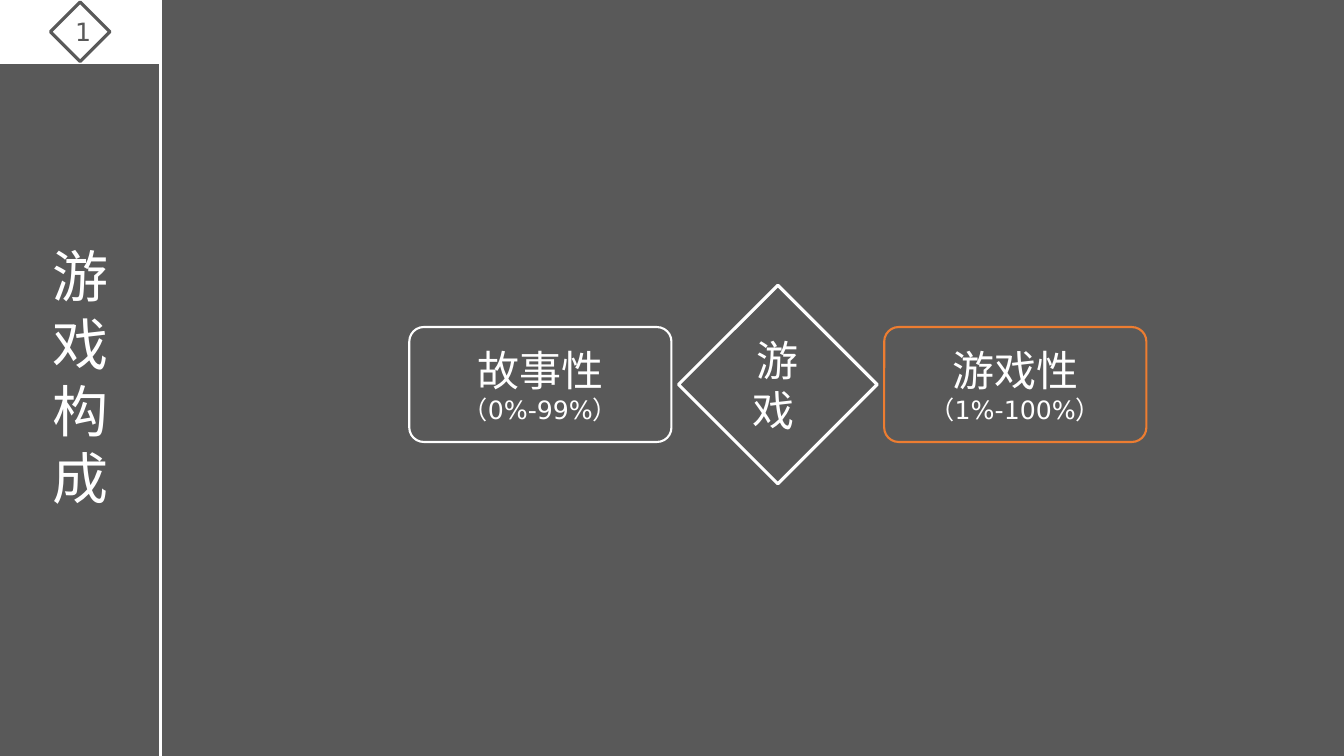
import pptx
import pptx.util
import pptx.dml.color
import pptx.enum.shapes
import pptx.enum.text
import lxml.etree

Inches, Pt = pptx.util.Inches, pptx.util.Pt
RGBColor = pptx.dml.color.RGBColor
KIND = pptx.enum.shapes.MSO_SHAPE
ALIGN = pptx.enum.text.PP_ALIGN
ANCHOR = pptx.enum.text.MSO_ANCHOR

GREY = RGBColor(0x59, 0x59, 0x59)
WHITE = RGBColor(0xFF, 0xFF, 0xFF)
ORANGE = RGBColor(0xED, 0x7D, 0x31)
FONT = "DejaVu Sans"
WIDE, HIGH = 13.33, 7.5
SIDE = 1.59  # width of the side bar


def write(frame, *lines, sizes, color=WHITE, anchor=ANCHOR.MIDDLE):
    """Fill a text frame with one centred paragraph per line."""
    frame.word_wrap = True
    frame.vertical_anchor = anchor
    for i, (line, size) in enumerate(zip(lines, sizes)):
        para = frame.add_paragraph() if i else frame.paragraphs[0]
        para.alignment = ALIGN.CENTER
        run = para.add_run()
        run.text = line
        run.font.name = FONT
        run.font.size = Pt(size)
        run.font.color.rgb = color


def draw(shapes, kind, box, line, width, fill=None):
    shape = shapes.add_shape(kind, *map(Inches, box))
    shape.shadow.inherit = False
    if fill is None:
        shape.fill.background()
    else:
        shape.fill.solid()
        shape.fill.fore_color.rgb = fill
    shape.line.color.rgb = line
    shape.line.width = Pt(width)
    return shape


def side_bar(slide, box):
    left, top, width, height = box
    mid = left + width / 2

    # Dividing line
    edge = slide.shapes.add_connector(
        pptx.enum.shapes.MSO_CONNECTOR.STRAIGHT,
        *map(Inches, (left + width, top, left + width, top + height)))
    edge.line.color.rgb = WHITE
    edge.line.width = Pt(2.25)
    lxml.etree.SubElement(edge._element.spPr, pptx.oxml.ns.qn("a:effectLst"))

    # Title, narrow enough for one character a line
    span, tall = 1.02, 2.79
    title = slide.shapes.add_textbox(
        *map(Inches, (mid - span / 2, top + 2.35, span, tall)))
    write(title.text_frame, "游戏构成", sizes=[40], anchor=ANCHOR.TOP)

    # Page number
    head, size = 0.63, 0.59
    badge = slide.shapes.add_group_shape().shapes
    draw(badge, KIND.RECTANGLE, (left, top, width, head), WHITE, 1.5, WHITE)
    mark = draw(badge, KIND.DIAMOND,
                (mid - size / 2, top + (head - size) / 2, size, size),
                GREY, 2.25)
    write(mark.text_frame, "1", sizes=[18], color=GREY)


def balance(slide, box):
    """Place a card at each end of the box and a diamond in its centre."""
    left, top, width, height = box
    card, tall = 2.6, 1.14
    cards = [
        (left, "故事性", "（0%-99%）", WHITE),
        (left + width - card, "游戏性", "（1%-100%）", ORANGE),
    ]
    for x, name, share, color in cards:
        shape = draw(slide.shapes, KIND.ROUNDED_RECTANGLE,
                     (x, top + (height - tall) / 2, card, tall), color, 1.5)
        shape.adjustments[0] = 0.126
        write(shape.text_frame, name, share, sizes=[30, 18])

    core = draw(slide.shapes, KIND.DIAMOND,
                (left + (width - height) / 2, top, height, height),
                WHITE, 2.25)
    write(core.text_frame, "游戏 ", sizes=[30])


def main():
    deck = pptx.Presentation()
    deck.slide_width, deck.slide_height = Inches(WIDE), Inches(HIGH)
    slide = deck.slides.add_slide(deck.slide_layouts[6])
    slide.background.fill.solid()
    slide.background.fill.fore_color.rgb = GREY
    side_bar(slide, (0, 0, SIDE, HIGH))
    balance(slide, (4.06, 2.83, 7.31, 1.97))
    deck.save("out.pptx")


if __name__ == "__main__":
    main()
